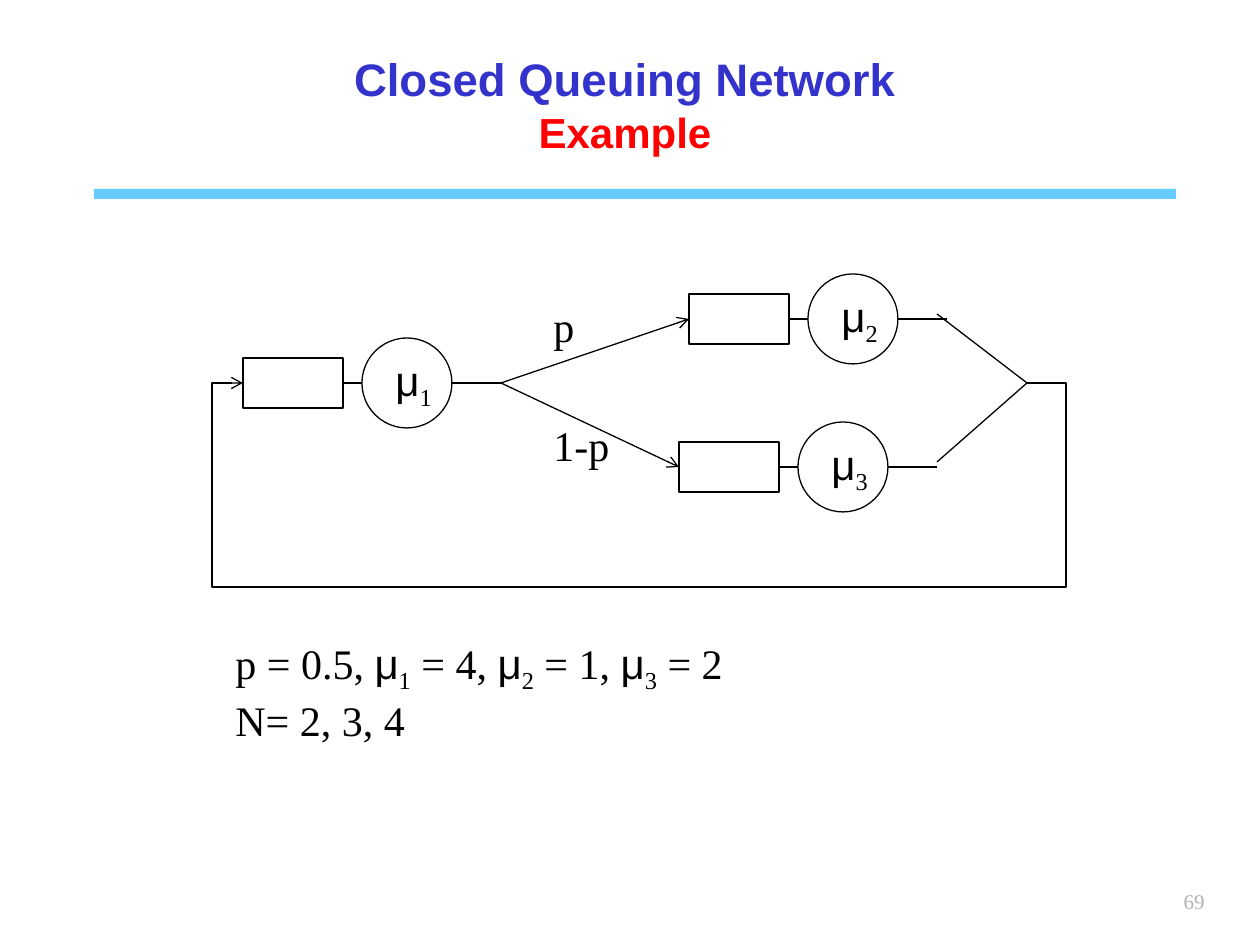
from lxml import etree
from pptx import Presentation
from pptx import util as u
from pptx.dml.color import RGBColor
from pptx.enum import shapes, text
from pptx.oxml.ns import qn

PX = 914400 / 126
SERIF, SANS = "Times New Roman", "Arial"
BLACK = "000000"


def px(*lengths):
    return [u.Emu(round(n * PX)) for n in lengths]


def rgb(value):
    return RGBColor.from_string(value)


prs = Presentation()
prs.slide_width, prs.slide_height = px(1260, 945)
s = prs.slides.add_slide(prs.slide_layouts[5])

# Title and rule
title = s.shapes.title
title.left, title.top, title.width, title.height = px(64, 45, 1122, 118)
tf = title.text_frame
tf.auto_size = text.MSO_AUTO_SIZE.NONE
tf.vertical_anchor = text.MSO_ANCHOR.MIDDLE
for i, (words, size, color) in enumerate([
        ("Closed Queuing Network", 26, "3333CC"), ("Example", 24, "FF0000")]):
    p = tf.add_paragraph() if i else tf.paragraphs[0]
    p.alignment = text.PP_ALIGN.CENTER
    r = p.add_run()
    r.text = words
    r.font.name, r.font.size, r.font.bold = SANS, u.Pt(size), True
    r.font.color.rgb = rgb(color)

rule = s.shapes.add_shape(shapes.MSO_SHAPE.RECTANGLE, *px(94, 189, 1082, 10))
rule.shadow.inherit = False
rule.fill.solid()
rule.fill.fore_color.rgb = rgb("66CCFF")
rule.line.fill.background()

# Stations: queue box and server circle
MIDDLE = 383
stations = [(243, MIDDLE), (689, 319), (679, 467)]
queues = []
for left, y in stations:
    for kind, x, w, h in [(shapes.MSO_SHAPE.RECTANGLE, left, 100, 50),
                          (shapes.MSO_SHAPE.OVAL, left + 119, 90, 90)]:
        sp = s.shapes.add_shape(kind, *px(x, y - h / 2, w, h))
        sp.shadow.inherit = False
        sp.fill.background()
        sp.line.color.rgb = rgb(BLACK)
        sp.line.width = u.Pt(0.75)
        if kind == shapes.MSO_SHAPE.RECTANGLE:
            queues.append(sp)

# Straight links: from, to, queue left on the right side, queue entered on the left
split, merge = (501, MIDDLE), (1027, MIDDLE)
links = []
for (left, y), queue in zip(stations, queues):
    links.append(((left + 100, y), (left + 119, y), queue, None))
    links.append(((left + 209, y), (left + 258, y), None, None))
for (left, y), queue in zip(stations[1:], queues[1:]):
    links.append((split, (left, y), None, queue))
    links.append(((937, y - 5), merge, None, None))

arrows = []
for start, end, source, target in links:
    link = s.shapes.add_connector(shapes.MSO_CONNECTOR.STRAIGHT, *px(*start, *end))
    if source:
        link.begin_connect(source, 3)
    if target:
        link.end_connect(target, 1)
        arrows.append(link)
    link.line.color.rgb = rgb(BLACK)
    link.line.width = u.Pt(0.75)
    etree.SubElement(link._element.spPr, qn("a:effectLst"))

# Feedback loop back to the first queue
path = s.shapes.build_freeform(*merge, scale=PX)
path.add_line_segments([(1066, MIDDLE), (1066, 587), (212, 587),
                        (212, MIDDLE), (243, MIDDLE)], close=False)
loop = path.convert_to_shape()
loop.shadow.inherit = False
loop.fill.background()
loop.line.color.rgb = rgb(BLACK)
loop.line.width = u.Pt(0.75)
for arrow in arrows + [loop]:
    etree.SubElement(arrow.line._get_or_add_ln(), qn("a:tailEnd"), type="arrow")

# Labels: box, wrap, paragraphs of runs; "μ" is sans, "_" marks a subscript
labels = [
    ((541, 294, 110, 63), True, [["p"]]),
    ((541, 413, 90, 63), True, [["1-p"]]),
    ((223, 631, 745, 121), True, [
        ["p = 0.5, ", "μ", "_1", " = 4, ", "μ", "_2", " = 1, ", "μ", "_3", " = 2"],
        ["N= 2, 3, 4"]]),
]
for number, (left, y) in enumerate(stations, 1):
    labels.append(((left + 140, y - 35, 62, 71), False, [["μ", f"_{number}"]]))

for box, wrap, paragraphs in labels:
    tf = s.shapes.add_textbox(*px(*box)).text_frame
    tf.word_wrap = wrap
    for i, runs in enumerate(paragraphs):
        p = tf.add_paragraph() if i else tf.paragraphs[0]
        for words in runs:
            r = p.add_run()
            r.text = words.lstrip("_")
            r.font.name = SANS if words == "μ" else SERIF
            r.font.size = u.Pt(24)
            r.font.color.rgb = rgb(BLACK)
            if words.startswith("_"):
                r.font._element.set("baseline", "-25000")

# Slide number
tf = s.shapes.add_textbox(*px(955, 882, 262, 63)).text_frame
tf.word_wrap = True
p = tf.paragraphs[0]
p.alignment = text.PP_ALIGN.RIGHT
r = p.add_run()
r.text = "69"
r.font.name, r.font.size = SERIF, u.Pt(12)
r.font.color.rgb = rgb("B2B2B2")

prs.save("out.pptx")
